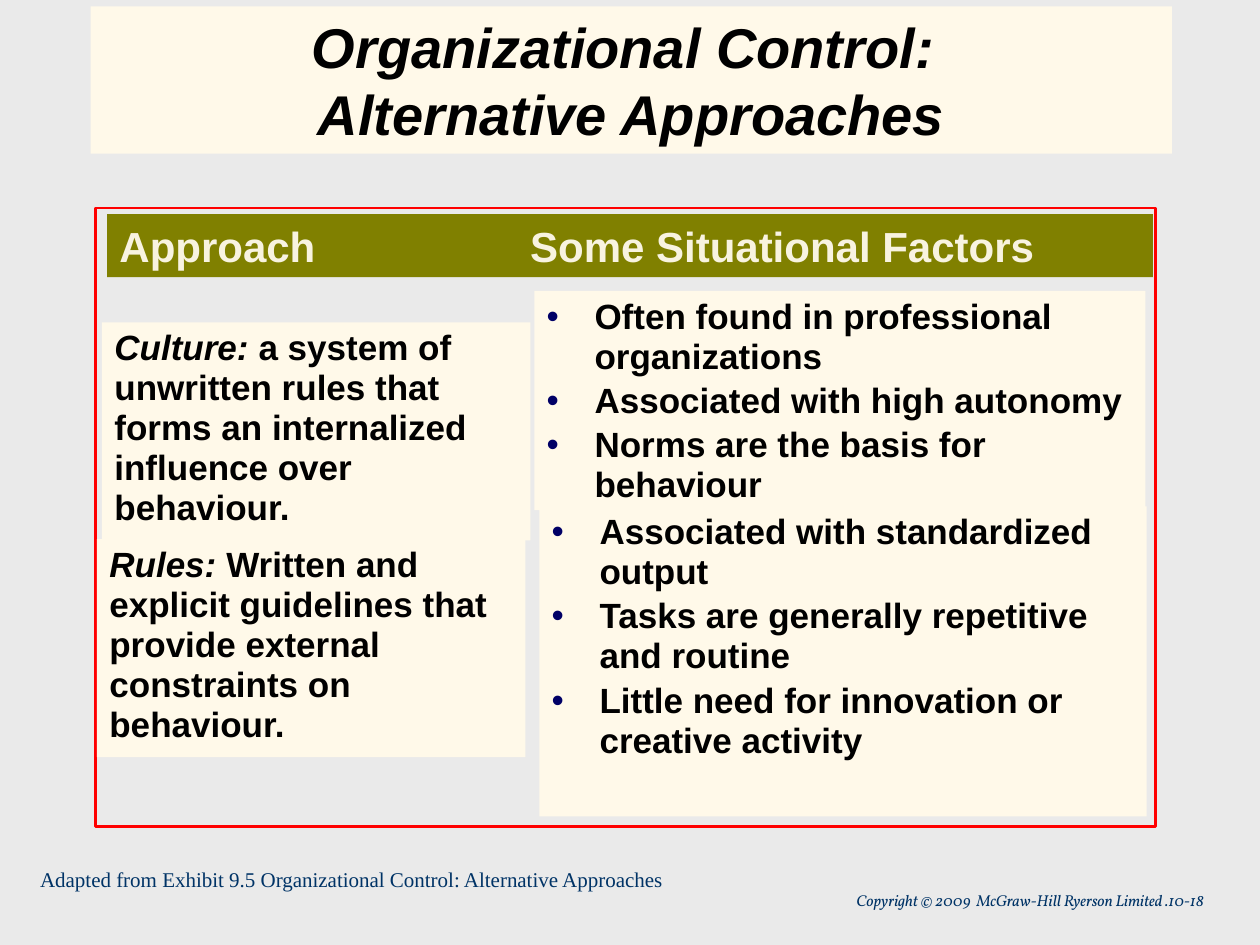
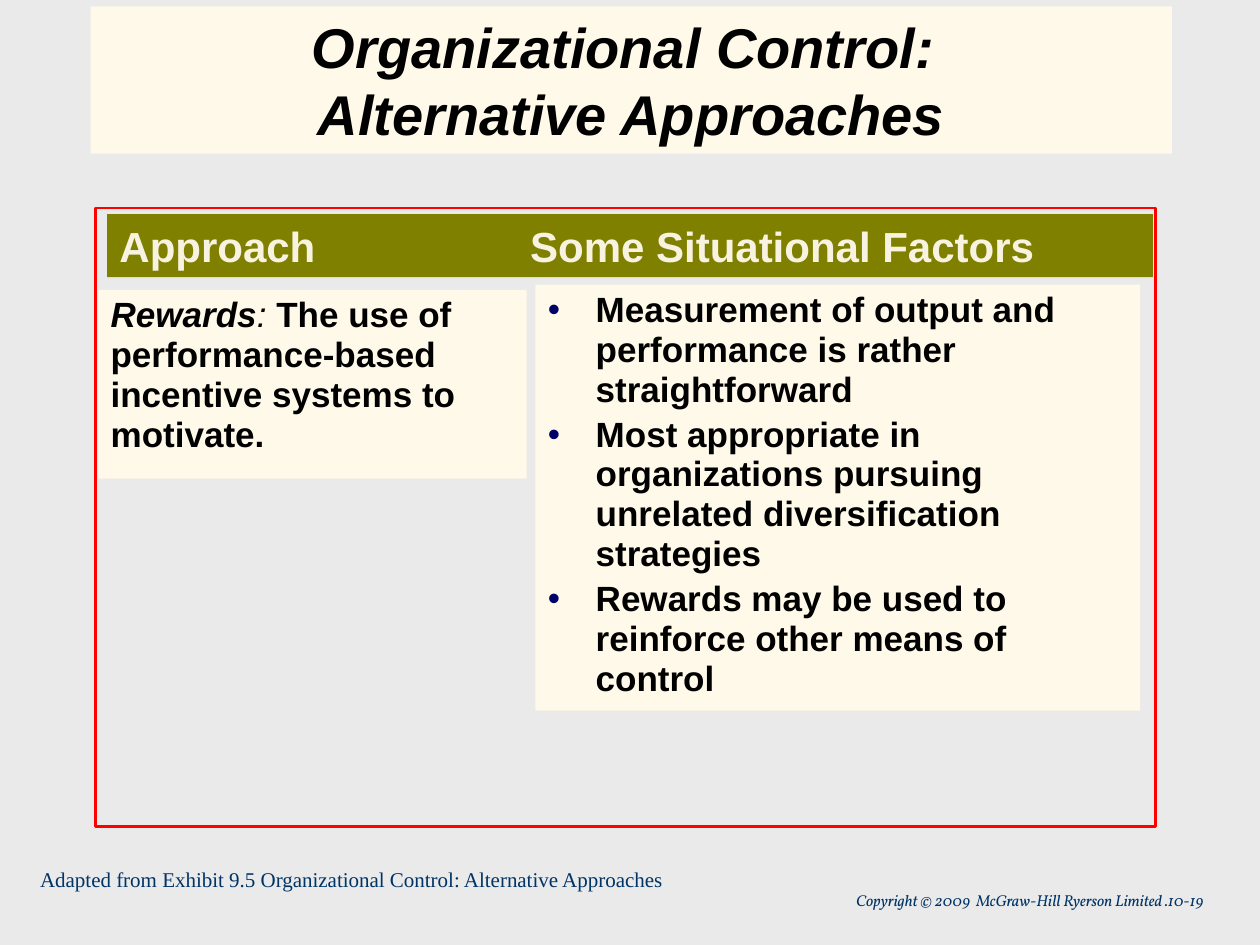
from dataclasses import dataclass

from lxml import etree
from pptx import Presentation
from pptx import util as u
from pptx.dml import color
from pptx.enum import shapes, text
from pptx.oxml import ns


@dataclass(frozen=True)
class Theme:
    back: str = "EAEAEA"
    card: str = "FFF9E9"
    band: str = "808000"
    band_text: str = "F8F3E0"
    frame: str = "FF0000"
    ink: str = "000000"
    bullet: str = "000066"
    note: str = "003366"
    sans: str = "Arial"
    serif: str = "Times New Roman"
    copyright_font: str = "Vollkorn"
    title_size: float = 32
    band_size: float = 24
    body_size: float = 20
    source_size: float = 12
    copyright_size: float = 9


class Deck:
    def __init__(self, prs, theme):
        self.prs = prs
        self.theme = theme
        self.s = None

    def new_slide(self):
        self.s = self.prs.slides.add_slide(self.prs.slide_layouts[6])
        fill = self.s.background.fill
        fill.solid()
        fill.fore_color.rgb = color.RGBColor.from_string(self.theme.back)

    def box(self, at, fill=None, line=None, anchor=text.MSO_ANCHOR.TOP):
        sp = self.s.shapes.add_shape(shapes.MSO_SHAPE.RECTANGLE, *map(u.Inches, at))
        sp.shadow.inherit = False
        if fill:
            sp.fill.solid()
            sp.fill.fore_color.rgb = color.RGBColor.from_string(fill)
        else:
            sp.fill.background()
        if line:
            sp.line.color.rgb = color.RGBColor.from_string(line)
            sp.line.width = u.Pt(1.5)
        else:
            sp.line.fill.background()
        sp.text_frame.word_wrap = True
        sp.text_frame.vertical_anchor = anchor
        sp.text_frame.paragraphs[0].alignment = text.PP_ALIGN.LEFT
        return sp.text_frame

    def label(self, at, wrap):
        tf = self.s.shapes.add_textbox(*map(u.Inches, at)).text_frame
        tf.word_wrap = wrap
        tf.auto_size = text.MSO_AUTO_SIZE.SHAPE_TO_FIT_TEXT
        return tf.paragraphs[0]

    def run(self, p, words, size, ink, font=None, bold=True, italic=False):
        r = p.add_run()
        r.text = words
        r.font.name = font or self.theme.sans
        r.font.size = u.Pt(size)
        r.font.color.rgb = color.RGBColor.from_string(ink)
        r.font.bold = bold
        r.font.italic = italic

    def title(self, first, second):
        t = self.theme
        p = self.box((0.72, 0.05, 8.58, 1.17), t.card,
                     anchor=text.MSO_ANCHOR.MIDDLE).paragraphs[0]
        p.alignment = text.PP_ALIGN.CENTER
        self.run(p, first, t.title_size, t.ink, italic=True)
        p.add_line_break()
        self.run(p, second, t.title_size, t.ink, italic=True)

    def table_frame(self, left_head, right_head):
        t = self.theme
        p = self.box((0.85, 1.7, 8.3, 0.5), t.band,
                     anchor=text.MSO_ANCHOR.MIDDLE).paragraphs[0]
        tabs = etree.SubElement(p._p.get_or_add_pPr(), ns.qn("a:tabLst"))
        etree.SubElement(tabs, ns.qn("a:tab"), pos=str(u.Inches(3.26)), algn="l")
        self.run(p, f"{left_head}\t{right_head}", t.band_size, t.band_text)
        self.box((0.76, 1.65, 8.41, 4.91), line=t.frame)

    def approach(self, left, top, height, *runs):
        t = self.theme
        p = self.box((left, top, 3.4, height), t.card).paragraphs[0]
        p.line_spacing = 0.95
        for words, bold, italic in runs:
            self.run(p, words, t.body_size, t.ink, bold=bold, italic=italic)

    def factors(self, at, *items):
        t = self.theme
        tf = self.box(at, t.card)
        for i, item in enumerate(items):
            p = tf.add_paragraph() if i else tf.paragraphs[0]
            p.alignment = text.PP_ALIGN.LEFT
            self.bullet(p)
            p.line_spacing = 0.95
            p.space_before = u.Pt(2.5 if i else 0)
            self.run(p, item, t.body_size, t.ink)

    def bullet(self, p):
        ppr = p._p.get_or_add_pPr()
        ppr.set("marL", str(u.Inches(0.38)))
        ppr.set("indent", str(-u.Inches(0.38)))
        clr = etree.SubElement(ppr, ns.qn("a:buClr"))
        etree.SubElement(clr, ns.qn("a:srgbClr"), val=self.theme.bullet)
        etree.SubElement(ppr, ns.qn("a:buFont"), typeface=self.theme.sans)
        etree.SubElement(ppr, ns.qn("a:buChar"), char="•")

    def footers(self, number):
        t = self.theme
        p = self.label((0.22, 6.83, 5.17, 0.3), False)
        self.run(p, "Adapted from Exhibit 9.5 Organizational Control: Alternative Approaches",
                 t.source_size, t.note, t.serif, bold=False)
        p = self.label((5.07, 7.02, 4.58, 0.25), True)
        p.alignment = text.PP_ALIGN.RIGHT
        self.run(p, f"Copyright © 2009  McGraw-Hill Ryerson Limited .{number}",
                 t.copyright_size, t.note, t.copyright_font, bold=False, italic=True)

    def start_approaches(self, number):
        self.new_slide()
        self.title("Organizational Control: ", "Alternative Approaches")
        self.footers(number)


HEADS = "Approach", "Some Situational Factors"


def culture_and_rules(deck):
    deck.start_approaches("10-18")
    deck.approach(0.81, 2.56, 1.73, ("Culture:", True, True),
                  (" a system of unwritten rules that forms an internalized "
                   "influence over behaviour.", True, False))
    deck.table_frame(*HEADS)
    deck.factors((4.24, 2.31, 4.85, 1.74),
                 "Often found in professional organizations",
                 "Associated with high autonomy",
                 "Norms are the basis for behaviour")
    deck.approach(0.77, 4.28, 1.73, ("Rules:", True, True),
                  (" Written and explicit guidelines that provide external "
                   "constraints on behaviour.", True, False))
    deck.factors((4.28, 4.02, 4.82, 2.46),
                 "Associated with standardized output",
                 "Tasks are generally repetitive and routine",
                 "Little need for innovation or creative activity")


def rewards(deck):
    deck.start_approaches("10-19")
    deck.approach(0.78, 2.3, 1.5, ("Rewards", True, True), (": ", False, True),
                  ("The use of performance-based incentive systems to motivate.",
                   True, False))
    deck.table_frame(*HEADS)
    deck.factors((4.25, 2.26, 4.8, 3.38),
                 "Measurement of output and performance is rather straightforward",
                 "Most appropriate in organizations pursuing unrelated "
                 "diversification strategies",
                 "Rewards may be used to reinforce other means of control")


def main():
    prs = Presentation()
    prs.slide_width = u.Inches(10)
    prs.slide_height = u.Inches(7.5)
    deck = Deck(prs, Theme())
    culture_and_rules(deck)
    rewards(deck)
    prs.save("out.pptx")


if __name__ == "__main__":
    main()
